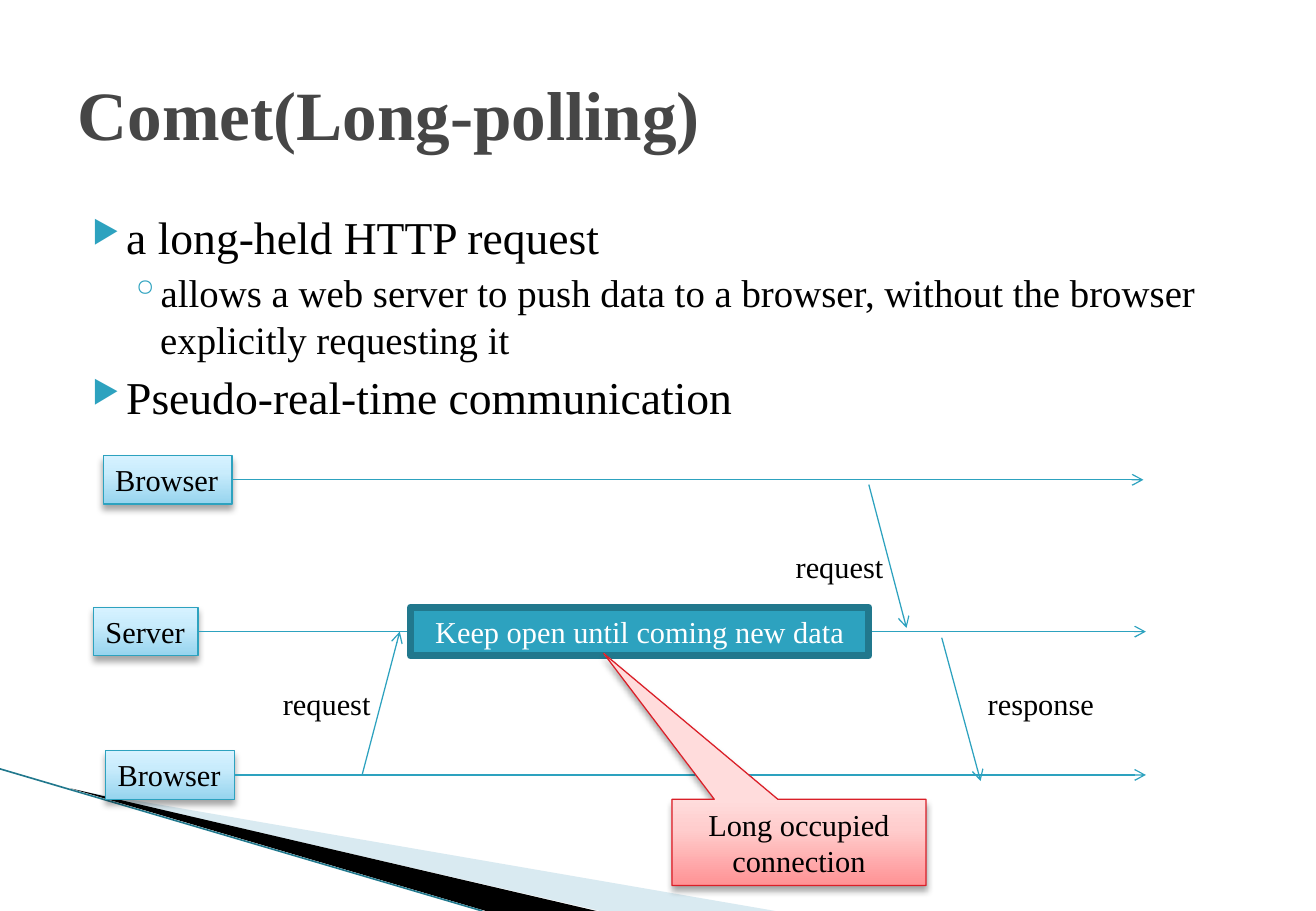
from lxml.etree import SubElement
from pptx import Presentation
from pptx.dml.color import RGBColor
from pptx.enum.shapes import MSO_CONNECTOR, MSO_SHAPE
from pptx.enum.text import MSO_ANCHOR, PP_ALIGN
from pptx.oxml import parse_xml
from pptx.oxml.ns import nsdecls, qn
from pptx.util import Inches, Pt

FONT = "Times New Roman"
COLORS = {
    "black": "000000", "white": "FFFFFF", "title": "464646",
    "teal": "2DA2BF", "dark_teal": "21788D", "pale": "A0CBDC", "red": "DA1F28",
}
BLUE_STOPS = [(0, "96D4EE"), (65, "C9ECFC"), (100, "D7F2FF")]
RED_STOPS = [(0, "FF9294"), (65, "FFCDCD"), (100, "FFDCDC")]

WEDGES = [
    ([(0.59, 6.5), (6.38, 7.5), (4.94, 7.5)], "pale", 40),
    ([(0.58, 6.49), (4.91, 7.5), (4.0, 7.5)], "black", 100),
]
EDGE = ((0, 6.33), (3.97, 7.5))

TITLE = "Comet(Long-polling)"
BULLETS = [
    ("a long-held HTTP request", 0),
    ("allows a web server to push data to a browser, without the browser explicitly requesting it", 1),
    ("Pseudo-real-time communication", 0),
]
LEVELS = [
    {"size": 27, "margin": 0.4, "indent": -0.28, "before": 4, "char": "▶", "percent": 68},
    {"size": 23, "margin": 0.68, "indent": -0.25, "before": 3.2, "char": "◦", "percent": 100},
]

BOX_HEIGHT = 0.4
LANES = [
    ("Server", 0.77, 5.0, 0.86, 9.43),
    ("Browser", 0.87, 6.18, 1.06, 9.43),
    ("Browser", 0.85, 3.75, 1.06, 9.41),
]
MESSAGES = [
    ((2.98, 6.38), (3.29, 5.2)),
    ((7.15, 3.99), (7.46, 5.17)),
    ((7.75, 5.25), (8.07, 6.43)),
]
LABELS = [
    ("request", 2.23, 5.59, 0.93),
    ("request", 6.45, 4.46, 0.93),
    ("response", 8.03, 5.59, 1.09),
]
WAIT = ("Keep open until coming new data", (3.38, 5.0, 3.77, BOX_HEIGHT))
CALLOUT = ("Long occupied connection", (5.53, 6.58, 2.09, 0.71), (-0.769, -2.192))


def color(name):
    return RGBColor.from_string(COLORS[name])


def inches(values):
    return [Inches(value) for value in values]


def set_font(paragraph, size, color_name, bold=False):
    for run in paragraph.runs:
        run.font.name = FONT
        run.font.size = Pt(size)
        run.font.bold = bold
        run.font.color.rgb = color(color_name)


def set_text(shape, text, size=18, color_name="black", wrap=True, align=PP_ALIGN.LEFT,
             anchor=MSO_ANCHOR.TOP, bold=False):
    frame = shape.text_frame
    frame.text = text
    frame.word_wrap = wrap
    frame.vertical_anchor = anchor
    frame.paragraphs[0].alignment = align
    set_font(frame.paragraphs[0], size, color_name, bold)


def add_box(shapes, kind, bounds, line_color, line_width):
    shape = shapes.add_shape(kind, *inches(bounds))
    shape.shadow.inherit = False
    shape.line.color.rgb = color(line_color)
    shape.line.width = Pt(line_width)
    return shape


def add_glow(shape, stops):
    properties = shape.fill._xPr
    stop_xml = "".join(
        f'<a:gs pos="{position * 1000}"><a:srgbClr val="{value}"/></a:gs>' for position, value in stops)
    gradient = parse_xml(
        f'<a:gradFill {nsdecls("a")} rotWithShape="1"><a:gsLst>{stop_xml}</a:gsLst>'
        '<a:lin ang="16200000" scaled="0"/></a:gradFill>')
    properties.find(qn("a:prstGeom")).addnext(gradient)
    shadow = parse_xml(
        f'<a:outerShdw {nsdecls("a")} blurRad="{Pt(4)}" dist="{Pt(3)}" dir="5400000" rotWithShape="0">'
        f'<a:srgbClr val="{COLORS["black"]}"><a:alpha val="35000"/></a:srgbClr></a:outerShdw>')
    properties.find(qn("a:effectLst")).append(shadow)


def add_line(shapes, start, end, color_name="teal", width=0.75, arrow=True):
    line = shapes.add_connector(MSO_CONNECTOR.STRAIGHT, *inches(start + end))
    line.line.color.rgb = color(color_name)
    line.line.width = Pt(width)
    if arrow:
        SubElement(line.line._get_or_add_ln(), qn("a:tailEnd"), type="arrow")
    SubElement(line._element.spPr, qn("a:effectLst"))
    return line


def add_wedge(shapes, points, color_name, opacity):
    corners = [tuple(inches(point)) for point in points]
    builder = shapes.build_freeform(*corners[0], scale=1.0)
    builder.add_line_segments(corners[1:], close=True)
    wedge = builder.convert_to_shape()
    wedge.shadow.inherit = False
    wedge.fill.solid()
    wedge.fill.fore_color.rgb = color(color_name)
    wedge.line.fill.background()
    if opacity < 100:
        fill_color = wedge._element.spPr.find(qn("a:solidFill"))[0]
        SubElement(fill_color, qn("a:alpha"), val=str(opacity * 1000))


def add_bullets(shapes):
    frame = shapes.add_textbox(*inches((0.54, 1.67, 9.75, 1.9))).text_frame
    frame.word_wrap = True
    for index, (text, depth) in enumerate(BULLETS):
        level = LEVELS[depth]
        paragraph = frame.add_paragraph() if index else frame.paragraphs[0]
        paragraph.text = text
        paragraph.level = depth
        if index:
            paragraph.space_before = Pt(level["before"])
        properties = paragraph._p.get_or_add_pPr()
        properties.set("marL", str(Inches(level["margin"])))
        properties.set("indent", str(Inches(level["indent"])))
        bullet_color = SubElement(properties, qn("a:buClr"))
        SubElement(bullet_color, qn("a:srgbClr"), val=COLORS["teal"])
        SubElement(properties, qn("a:buSzPct"), val=str(level["percent"] * 1000))
        SubElement(properties, qn("a:buChar"), char=level["char"])
        set_font(paragraph, level["size"], "black")


def add_lane(shapes, text, left, top, width, end):
    box = add_box(shapes, MSO_SHAPE.RECTANGLE, (left, top, width, BOX_HEIGHT), "teal", 0.75)
    add_glow(box, BLUE_STOPS)
    set_text(box, text, wrap=False)
    middle = top + BOX_HEIGHT / 2
    line = add_line(shapes, (left + width, middle), (end, middle))
    line.begin_connect(box, 3)


def main():
    presentation = Presentation()
    presentation.slide_width = Inches(10.83)
    presentation.slide_height = Inches(7.5)
    shapes = presentation.slides.add_slide(presentation.slide_layouts[6]).shapes

    for wedge in WEDGES:
        add_wedge(shapes, *wedge)
    add_line(shapes, *EDGE, color_name="dark_teal", width=0.95, arrow=False)

    add_bullets(shapes)
    title = shapes.add_textbox(*inches((0.54, 0.3, 9.75, 1.25)))
    set_text(title, TITLE, 41, "title", anchor=MSO_ANCHOR.MIDDLE, bold=True)

    for lane in LANES:
        add_lane(shapes, *lane)
    for start, end in MESSAGES:
        add_line(shapes, start, end)
    for text, left, top, width in LABELS:
        label = shapes.add_textbox(*inches((left, top, width, BOX_HEIGHT)))
        set_text(label, text, wrap=False)

    text, bounds = WAIT
    wait = add_box(shapes, MSO_SHAPE.RECTANGLE, bounds, "dark_teal", 4.33)
    wait.fill.solid()
    wait.fill.fore_color.rgb = color("teal")
    set_text(wait, text, color_name="white", align=PP_ALIGN.CENTER, anchor=MSO_ANCHOR.MIDDLE)

    text, bounds, tip = CALLOUT
    callout = add_box(shapes, MSO_SHAPE.RECTANGULAR_CALLOUT, bounds, "red", 0.75)
    callout.adjustments[0], callout.adjustments[1] = tip
    add_glow(callout, RED_STOPS)
    set_text(callout, text, align=PP_ALIGN.CENTER, anchor=MSO_ANCHOR.MIDDLE)

    presentation.save("out.pptx")


if __name__ == "__main__":
    main()
